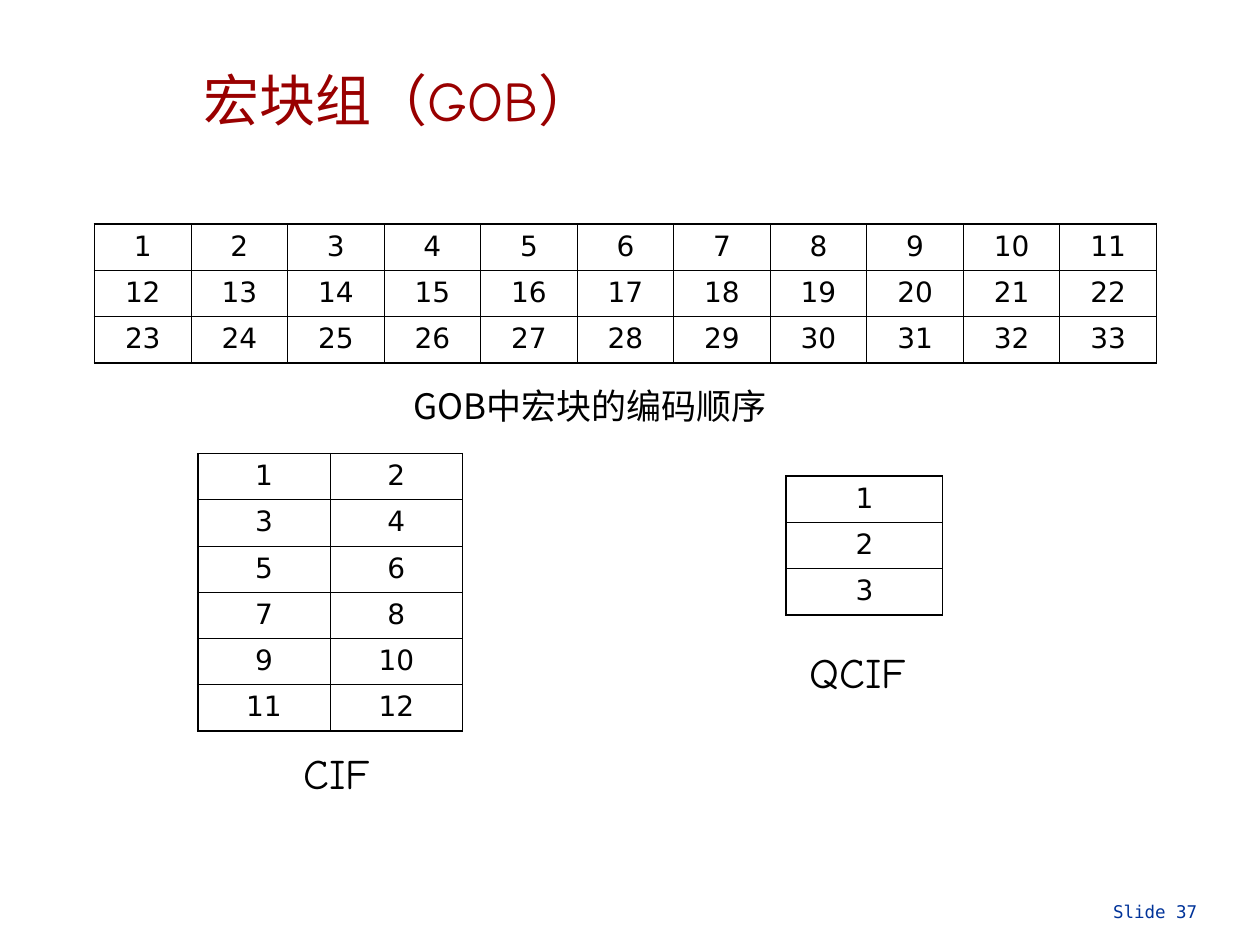
from lxml.etree import SubElement
from pptx import Presentation
from pptx.dml.color import RGBColor
from pptx.enum.text import MSO_ANCHOR, PP_ALIGN as Align
from pptx.oxml.ns import qn
from pptx.util import Inches, Pt

COLORS = {"title": "990000", "ink": "000000", "footer": "003399"}
CJK = "Noto Sans CJK SC"
COMIC = "Comic Neue"
THICK, THIN = Pt(1.08), Pt(0.45)


def style(para, size, name, color, align=Align.LEFT):
    para.alignment = align
    para.font.size = Pt(size)
    para.font.name = name
    para.font.color.rgb = RGBColor.from_string(COLORS[color])
    latin = para.font._element.find(qn("a:latin"))
    east_asian = SubElement(para.font._element, qn("a:ea"), typeface=CJK)
    latin.addnext(east_asian)


def add_border(cell, side, width):
    line = SubElement(cell._tc.get_or_add_tcPr(), qn(f"a:ln{side}"), w=str(width))
    fill = SubElement(line, qn("a:solidFill"))
    SubElement(fill, qn("a:srgbClr"), val=COLORS["ink"])


deck = Presentation()
deck.slide_width, deck.slide_height = Inches(10), Inches(7.5)
page = deck.slides.add_slide(deck.slide_layouts[6])

# Number grids: left, top, width, height, rows, columns
grids = [
    (0.75, 1.78, 8.43, 1.1, 3, 11),
    (1.57, 3.6, 2.1, 2.2, 6, 2),
    (6.24, 3.78, 1.24, 1.1, 3, 1),
]
for left, top, width, height, rows, cols in grids:
    table = page.shapes.add_table(
        rows, cols, Inches(left), Inches(top), Inches(width), Inches(height)
    ).table
    table.first_row = table.horz_banding = False
    for row in range(rows):
        for col in range(cols):
            cell = table.cell(row, col)
            cell.text = str(row * cols + col + 1)
            style(cell.text_frame.paragraphs[0], 16, "DejaVu Sans", "ink", Align.CENTER)
            outer_sides = {
                "L": col == 0,
                "R": col == cols - 1,
                "T": row == 0,
                "B": row == rows - 1,
            }
            for side, outer in outer_sides.items():
                add_border(cell, side, THICK if outer else THIN)
            cell.fill.background()
            cell.vertical_anchor = MSO_ANCHOR.TOP
            cell.margin_left = cell.margin_right = Inches(0.1)
            cell.margin_top = cell.margin_bottom = Inches(0.05)

# Texts: wording, box, left/right inset, top/bottom inset, size, font, colour, alignment
texts = [
    ("宏块组（GOB）", (0, 0.58, 6.33, 0.48), (0.05, 0.05), 0, 32, COMIC, "title", Align.CENTER),
    ("GOB中宏块的编码顺序", (3.18, 3, 3.49, 0.44), (0.1, 0.1), 0.05, 20, CJK, "ink", Align.LEFT),
    ("CIF", (2.31, 5.88, 0.85, 0.5), (0.1, 0.1), 0.05, 24, COMIC, "ink", Align.LEFT),
    ("QCIF", (6.33, 5.08, 1.15, 0.5), (0.1, 0.1), 0.05, 24, COMIC, "ink", Align.LEFT),
    ("Slide 37", (6.42, 7.15, 3.58, 0.19), (0.09, 0.5), 0, 10, "DejaVu Sans Mono", "footer",
     Align.RIGHT),
]
for wording, place, sides, inset, size, name, color, align in texts:
    frame = page.shapes.add_textbox(*map(Inches, place)).text_frame
    frame.word_wrap = True
    frame.margin_left, frame.margin_right = map(Inches, sides)
    frame.margin_top = frame.margin_bottom = Inches(inset)
    para = frame.paragraphs[0]
    para.text = wording
    if color == "title":
        para.line_spacing = 0.9
    style(para, size, name, color, align)

deck.save("out.pptx")
